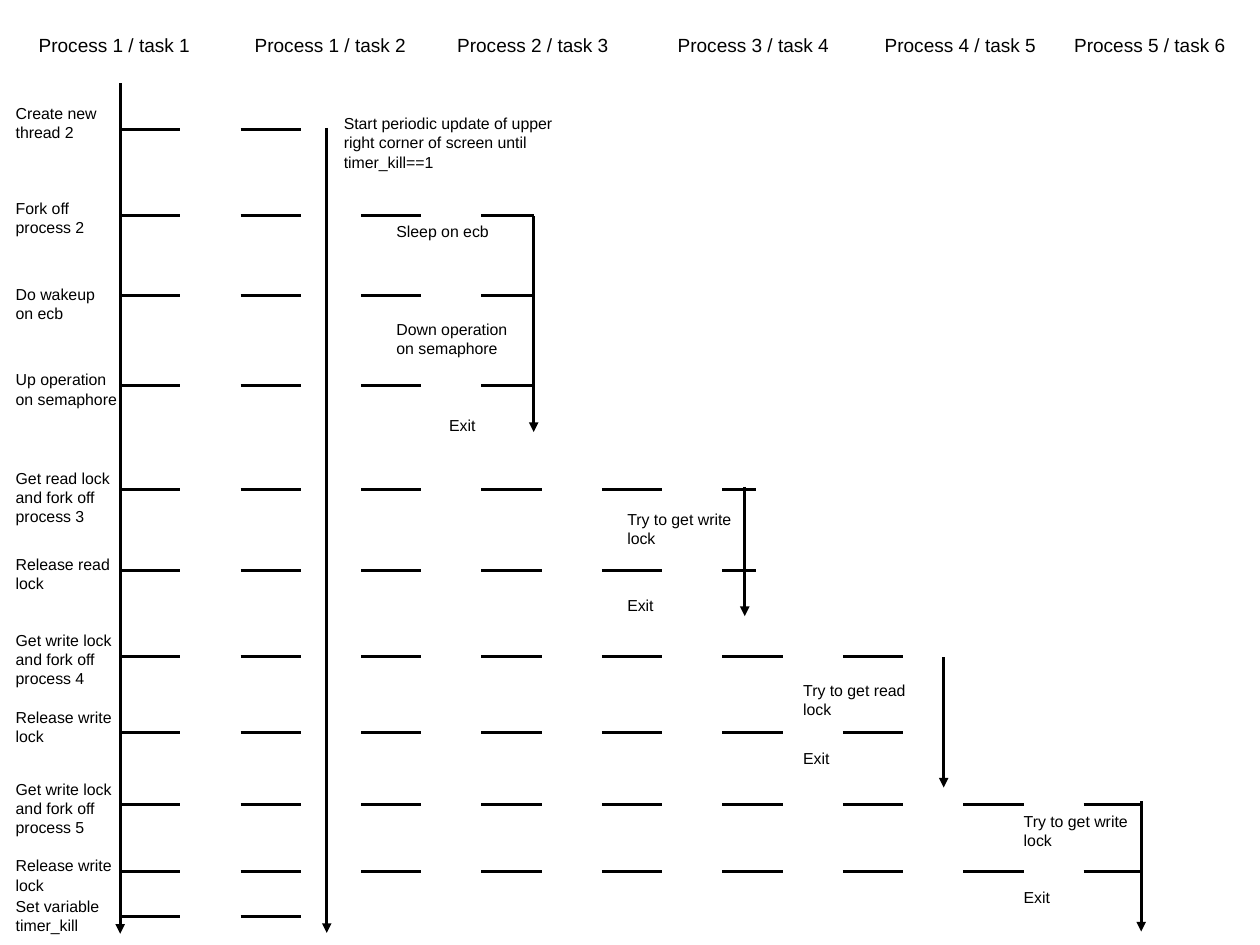
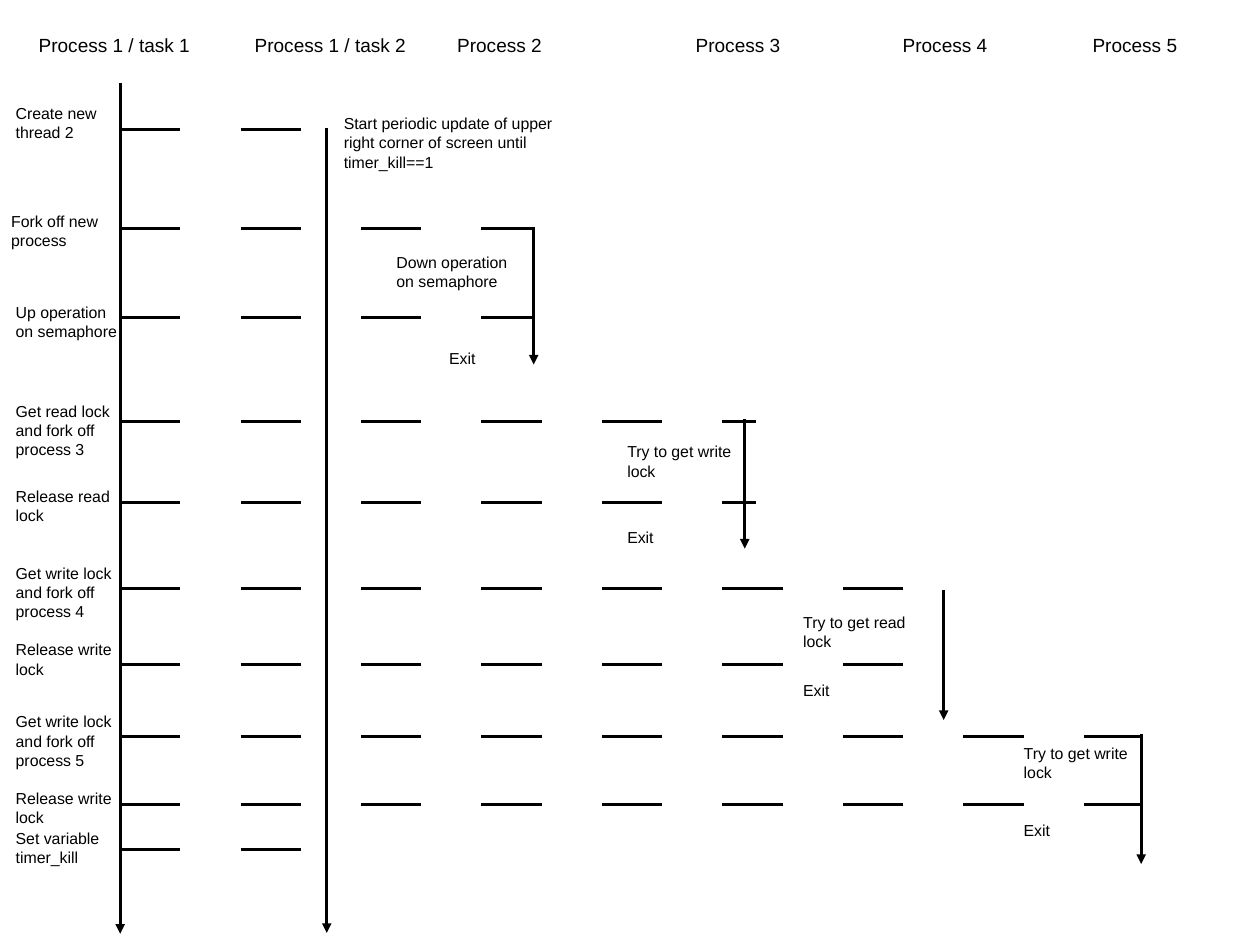
from dataclasses import dataclass

from lxml import etree
from pptx import Presentation
from pptx import util as u
from pptx.dml.color import RGBColor
from pptx.enum import shapes, text
from pptx.oxml import ns

INK = RGBColor(0x00, 0x00, 0x00)
FONT = "Arial"
MAIN, TIMER, SECOND, THIRD, FOURTH, FIFTH = 2.67, 7.26, 11.86, 16.55, 20.97, 25.36
LIFT = -1.5  # the short run starts its common steps this much higher


@dataclass(frozen=True)
class Event:
    """A step of the main task, with a dashed line to another task."""
    words: str
    top: float
    line: float
    end: float
    rows: int = 2
    left: float = 0.1


@dataclass(frozen=True)
class Note:
    words: str
    left: float
    top: float
    width: float = 2.97
    rows: int = 1


@dataclass(frozen=True)
class Life:
    """The vertical arrow of one task."""
    x: float
    top: float
    end: float


@dataclass(frozen=True)
class Run:
    """What one slide has of its own."""
    heads: list[tuple[str, float]]
    items: list[Event | Note | Life]
    shift: float = 0


OPEN = [
    Life(MAIN, 1.85, 20.75),
    Life(TIMER, 2.84, 20.73),
    Event("Create new thread 2", 2.18, 2.87, TIMER),
    Note("Start periodic update of upper right corner of screen until timer_kill==1",
         7.39, 2.41, 5.74, 3),
]

STEPS = [
    Note("Down operation\non semaphore", 8.56, 6.98, 3.78, 2),
    Event("Up operation\non semaphore", 8.1, 8.56, SECOND),
    Note("Exit", 9.73, 9.12, 3.78),
    Event("Get read lock\nand fork off\nprocess 3", 10.29, 10.87, 16.79, 3),
    Life(THIRD, 10.82, 13.69),
    Note("Try to get write lock", 13.69, 11.2, rows=2),
    Event("Release read lock", 12.19, 12.67, 16.79),
    Note("Exit", 13.69, 13.11),
    Event("Get write lock\nand fork off\nprocess 4", 13.89, 14.58, 20.9, 3),
    Life(FOURTH, 14.6, 17.5),
    Note("Try to get read lock", 17.6, 14.99, rows=2),
    Event("Release write lock", 15.6, 16.27, 20.9),
    Note("Exit", 17.6, 16.51),
    Event("Get write lock\nand fork off\nprocess 5", 17.2, 17.87, FIFTH, 3),
    Life(FIFTH, 17.81, 20.7),
    Note("Try to get write lock", 22.5, 17.91, rows=2),
    Event("Release write lock", 18.9, 19.37, FIFTH),
    Note("Exit", 22.5, 19.61),
    Event("Set variable\ntimer_kill", 19.79, 20.37, TIMER),
]

HEADS = [("Process 1 / task 1", 0.61), ("Process 1 / task 2", 5.41)]

RUNS = [
    Run(
        [("Process 2 / task 3", 9.91), ("Process 3 / task 4", 14.81),
         ("Process 4 / task 5", 19.41), ("Process 5 / task 6", 23.62)],
        [
            Event("Fork off\nprocess 2", 4.29, 4.78, SECOND),
            Life(SECOND, 4.8, 9.6),
            Note("Sleep on ecb", 8.56, 4.8, 3.78),
            Event("Do wakeup\non ecb", 6.2, 6.57, SECOND),
        ],
    ),
    Run(
        [("Process 2", 9.91), ("Process 3", 15.21),
         ("Process 4", 19.81), ("Process 5", 24.03)],
        [
            Event("Fork off new\nprocess", 4.57, 5.07, SECOND, left=0),
            Life(SECOND, 5.05, 8.1),
        ],
        LIFT,
    ),
]


def write(slide, words: str, left: float, top: float, width: float, *,
          rows: int = 1, size: int = 10) -> None:
    high = 0.25 + rows * size * 0.039
    box = slide.shapes.add_textbox(*map(u.Cm, (left, top, width, high)))
    frame = box.text_frame
    frame.word_wrap = True
    frame.auto_size = text.MSO_AUTO_SIZE.SHAPE_TO_FIT_TEXT
    para = frame.paragraphs[0]
    para.text = words.replace("\n", "\v")
    for run in para.runs:
        run.font.name = FONT
        run.font.size = u.Pt(size)
        run.font.color.rgb = INK


def rule(slide, x: float, y: float, end_x: float, end_y: float, *,
         dash: bool = False) -> None:
    """Draw a hairline: dashed, or solid with an arrowhead at its end."""
    line = slide.shapes.add_connector(
        shapes.MSO_CONNECTOR.STRAIGHT, *map(u.Cm, (x, y, end_x, end_y)))
    line.line.color.rgb = INK
    line.line.width = u.Pt(0)
    props = line.line._get_or_add_ln()
    if dash:
        cust = etree.SubElement(props, ns.qn("a:custDash"))
        # a hairline counts as 0.27 mm, so this gives dashes of about 5 mm
        etree.SubElement(cust, ns.qn("a:ds"), d="1885000", sp="1885000")
    else:
        etree.SubElement(props, ns.qn("a:tailEnd"), type="triangle")
    etree.SubElement(props.getparent(), ns.qn("a:effectLst"))


def draw(slide, item: Event | Note | Life, shift: float = 0) -> None:
    if isinstance(item, Life):
        rule(slide, item.x, item.top + shift, item.x, item.end + shift)
    elif isinstance(item, Note):
        write(slide, item.words, item.left, item.top + shift, item.width,
              rows=item.rows)
    else:
        write(slide, item.words, item.left, item.top + shift, 2.97,
              rows=item.rows)
        y = item.line + shift
        rule(slide, MAIN, y, item.end, y, dash=True)


def main() -> None:
    deck = Presentation()
    deck.slide_width, deck.slide_height = u.Cm(28), u.Cm(21)
    blank = deck.slide_layouts[6]
    for run in RUNS:
        slide = deck.slides.add_slide(blank)
        for words, left in HEADS + run.heads:
            write(slide, words, left, 0.61, 5.08, size=12)
        for item in OPEN + run.items:
            draw(slide, item)
        for item in STEPS:
            draw(slide, item, run.shift)
    deck.save("out.pptx")


if __name__ == "__main__":
    main()
